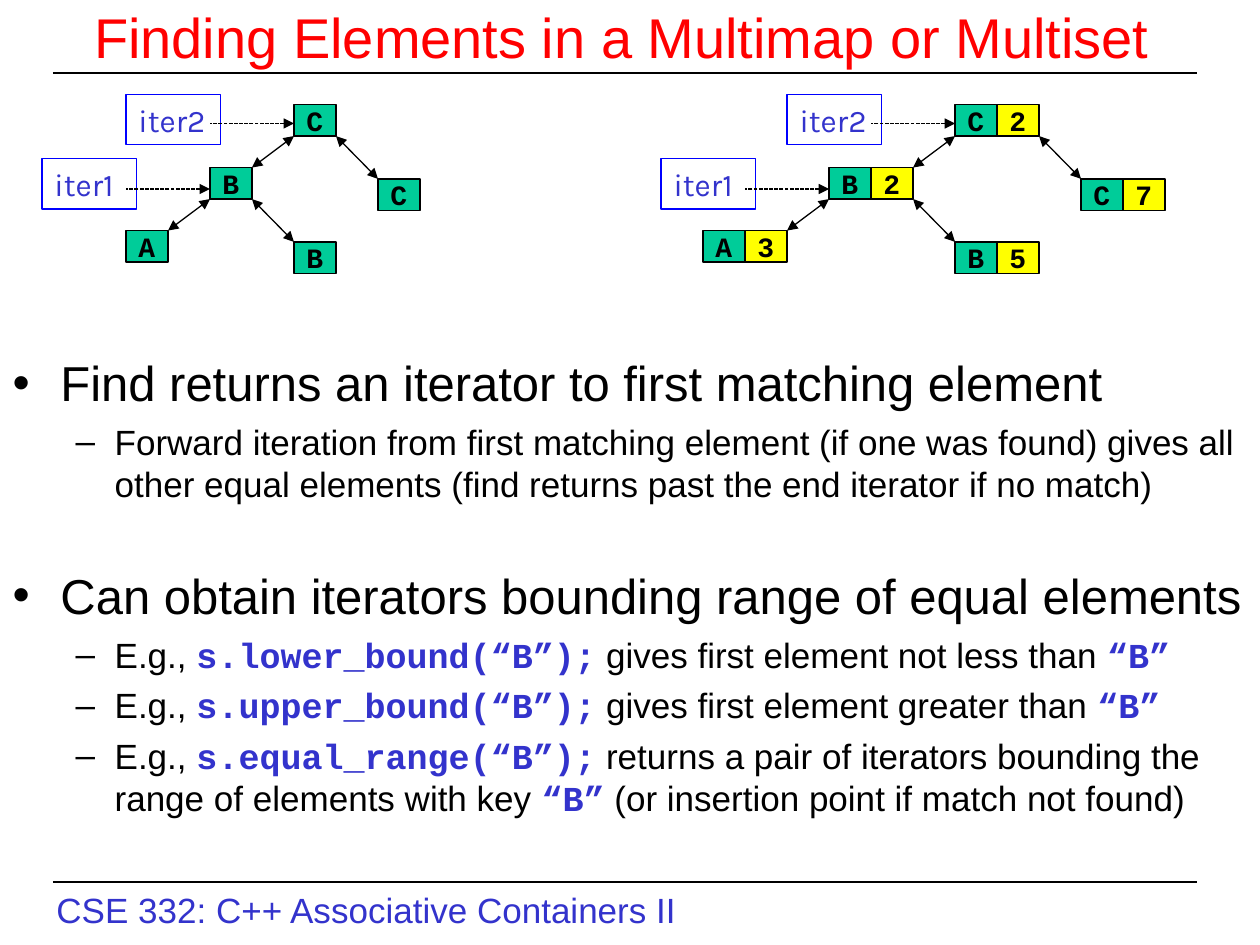
from lxml import etree
from pptx import Presentation
from pptx.dml.color import RGBColor
from pptx.enum.dml import MSO_LINE
from pptx.enum.shapes import MSO_CONNECTOR, MSO_SHAPE
from pptx.enum.text import MSO_ANCHOR, MSO_AUTO_SIZE, PP_ALIGN
from pptx.oxml.ns import qn
from pptx.util import Inches, Pt

RECTANGLE = MSO_SHAPE.RECTANGLE
STRAIGHT = MSO_CONNECTOR.STRAIGHT
DASH = MSO_LINE.SQUARE_DOT
LEFT, CENTER = PP_ALIGN.LEFT, PP_ALIGN.CENTER
TOP, MIDDLE = MSO_ANCHOR.TOP, MSO_ANCHOR.MIDDLE
NO_FIT = MSO_AUTO_SIZE.NONE

COLORS = {"title": "FF0000", "ink": "000000", "accent": "3333CC",
          "key": "00CC99", "value": "FFFF00", "label": "0000FF"}
FORMATS = {
    "title": {"name": "Arial", "size": Pt(32), "color": "title"},
    "topic": {"name": "Arial", "size": Pt(28), "color": "ink"},
    "detail": {"name": "Arial", "size": Pt(20), "color": "ink", "bold": False},
    "code": {"name": "Courier New", "size": Pt(20), "color": "accent", "bold": True},
    "cell": {"name": "Courier New", "size": Pt(16), "color": "ink", "bold": True},
    "label": {"name": "Karla", "size": Pt(18), "color": "accent"},
    "footer": {"name": "Arial", "size": Pt(20), "color": "accent"},
}
# level: (format, bullet, left margin, hanging indent)
LEVELS = {0: ("topic", "•", 0.38, 0.38), 1: ("detail", "–", 0.81, 0.31)}

# (level, space before in points, text with code between backticks)
BULLETS = [
    (0, 0, "Find returns an iterator to first matching element"),
    (1, 5, "Forward iteration from first matching element (if one was found) gives all "
           "other equal elements (find returns past the end iterator if no match)"),
    (0, 35, "Can obtain iterators bounding range of equal elements"),
    (1, 5, "E.g., `s.lower_bound(“B”);` gives first element not less than `“B”`"),
    (1, 5, "E.g., `s.upper_bound(“B”);` gives first element greater than `“B”`"),
    (1, 5, "E.g., `s.equal_range(“B”);` returns a pair of iterators bounding the "
           "range of elements with key `“B”` (or insertion point if match not found)"),
]

CELL_WIDTH, CELL_HEIGHT = 1 / 3, 0.25
# node: (column, top, key, value)
NODES = {
    "left leaf": (0, 1.83, "A", "3"),
    "left": (1, 1.33, "B", "2"),
    "root": (2, 0.83, "C", "2"),
    "left right": (2, 1.92, "B", "5"),
    "right": (3, 1.42, "C", "7"),
}
EDGES = [("left", "left leaf"), ("root", "right"), ("root", "left"), ("left", "left right")]
# (label, node, label top, arrow height)
ITERATORS = [("iter1", "left", 1.26, 1.5), ("iter2", "root", 0.75, 0.98)]


def rgb(color):
    return RGBColor.from_string(COLORS[color])


class SlideBuilder:
    def __init__(self, slide):
        self.slide = slide

    def run(self, paragraph, text, style):
        run = paragraph.add_run()
        run.text = text
        for attribute, value in FORMATS[style].items():
            if attribute == "color":
                run.font.color.rgb = rgb(value)
            else:
                setattr(run.font, attribute, value)

    def place(self, shape, left, top, width, height):
        shape.left, shape.top = Inches(left), Inches(top)
        shape.width, shape.height = Inches(width), Inches(height)

    def title(self, text):
        shape = self.slide.shapes.title
        self.place(shape, 0, 0, 10, 0.58)
        frame = shape.text_frame
        frame.auto_size, frame.vertical_anchor = NO_FIT, MIDDLE
        frame.paragraphs[0].alignment = CENTER
        self.run(frame.paragraphs[0], text, "title")

    def bullets(self, items):
        shape = self.slide.placeholders[1]
        self.place(shape, 0, 2.75, 10, 4.25)
        frame = shape.text_frame
        frame.auto_size = NO_FIT
        for index, (level, space, text) in enumerate(items):
            paragraph = frame.add_paragraph() if index else frame.paragraphs[0]
            style, bullet, margin, hanging = LEVELS[level]
            paragraph.level = level
            properties = paragraph._p.get_or_add_pPr()
            properties.set("marL", str(Inches(margin)))
            properties.set("indent", str(-Inches(hanging)))
            color = etree.SubElement(properties, qn("a:buClr"))
            etree.SubElement(color, qn("a:srgbClr"), val=COLORS["ink"])
            etree.SubElement(properties, qn("a:buFont"), typeface="Arial")
            etree.SubElement(properties, qn("a:buChar"), char=bullet)
            paragraph.space_before = Pt(space)
            for position, part in enumerate(text.split("`")):
                if part:
                    self.run(paragraph, part, "code" if position % 2 else style)

    def footer(self, text):
        box = self.slide.shapes.add_textbox(Inches(0.35), Inches(7), Inches(5.13), Inches(0.44))
        box.text_frame.word_wrap = False
        self.run(box.text_frame.paragraphs[0], text, "footer")

    def line(self, start, end, heads=(), dashed=False):
        connector = self.slide.shapes.add_connector(
            STRAIGHT, *(Inches(value) for value in (*start, *end)))
        connector.line.color.rgb = rgb("ink")
        connector.line.width = Pt(0.75)
        if dashed:
            connector.line.dash_style = DASH
        for head in heads:
            etree.SubElement(connector.line._get_or_add_ln(), qn(head), type="triangle")
        etree.SubElement(connector._element.spPr, qn("a:effectLst"))

    def box(self, left, top, width, height, text, style, fill=None):
        shape = self.slide.shapes.add_shape(
            RECTANGLE, *(Inches(value) for value in (left, top, width, height)))
        shape.shadow.inherit = False
        if fill:
            shape.fill.solid()
            shape.fill.fore_color.rgb = rgb(fill)
        else:
            shape.fill.background()
        shape.line.color.rgb = rgb("ink" if fill else "label")
        shape.line.width = Pt(0.75)
        frame = shape.text_frame
        frame.word_wrap = not fill
        frame.vertical_anchor = MIDDLE if fill else TOP
        frame.paragraphs[0].alignment = LEFT
        self.run(frame.paragraphs[0], text, style)

    def tree(self, left, with_values):
        """Draw the search tree whose leftmost node starts at left."""
        node_width = CELL_WIDTH * (2 if with_values else 1)
        step = node_width + CELL_WIDTH
        lefts = {name: left + node[0] * step for name, node in NODES.items()}
        for parent, child in EDGES:
            start, end = lefts[parent], lefts[child]
            if start < end:
                start += node_width
            else:
                end += node_width
            self.line((start, NODES[parent][1] + CELL_HEIGHT), (end, NODES[child][1]),
                      heads=("a:headEnd", "a:tailEnd"))
        for name, (_, top, key, value) in NODES.items():
            if with_values:
                self.box(lefts[name] + CELL_WIDTH, top, CELL_WIDTH, CELL_HEIGHT,
                         value, "cell", "value")
            self.box(lefts[name], top, CELL_WIDTH, CELL_HEIGHT, key, "cell", "key")
        for label, name, top, arrow_height in ITERATORS:
            target = lefts[name]
            self.box(target - 4 * CELL_WIDTH, top, 0.75, 0.4, label, "label")
            self.line((target, arrow_height), (target - 2 * CELL_WIDTH, arrow_height),
                      heads=("a:headEnd",), dashed=True)


def main():
    presentation = Presentation()
    presentation.slide_width, presentation.slide_height = Inches(10), Inches(7.5)
    builder = SlideBuilder(presentation.slides.add_slide(presentation.slide_layouts[1]))
    builder.footer("CSE 332: C++ Associative Containers II")
    for height in (7, 0.58):
        builder.line((0.42, height), (9.5, height))
    builder.title("Finding Elements in a Multimap or Multiset ")
    builder.bullets(BULLETS)
    builder.tree(5.58, with_values=True)
    builder.tree(1, with_values=False)
    presentation.save("out.pptx")


if __name__ == "__main__":
    main()
